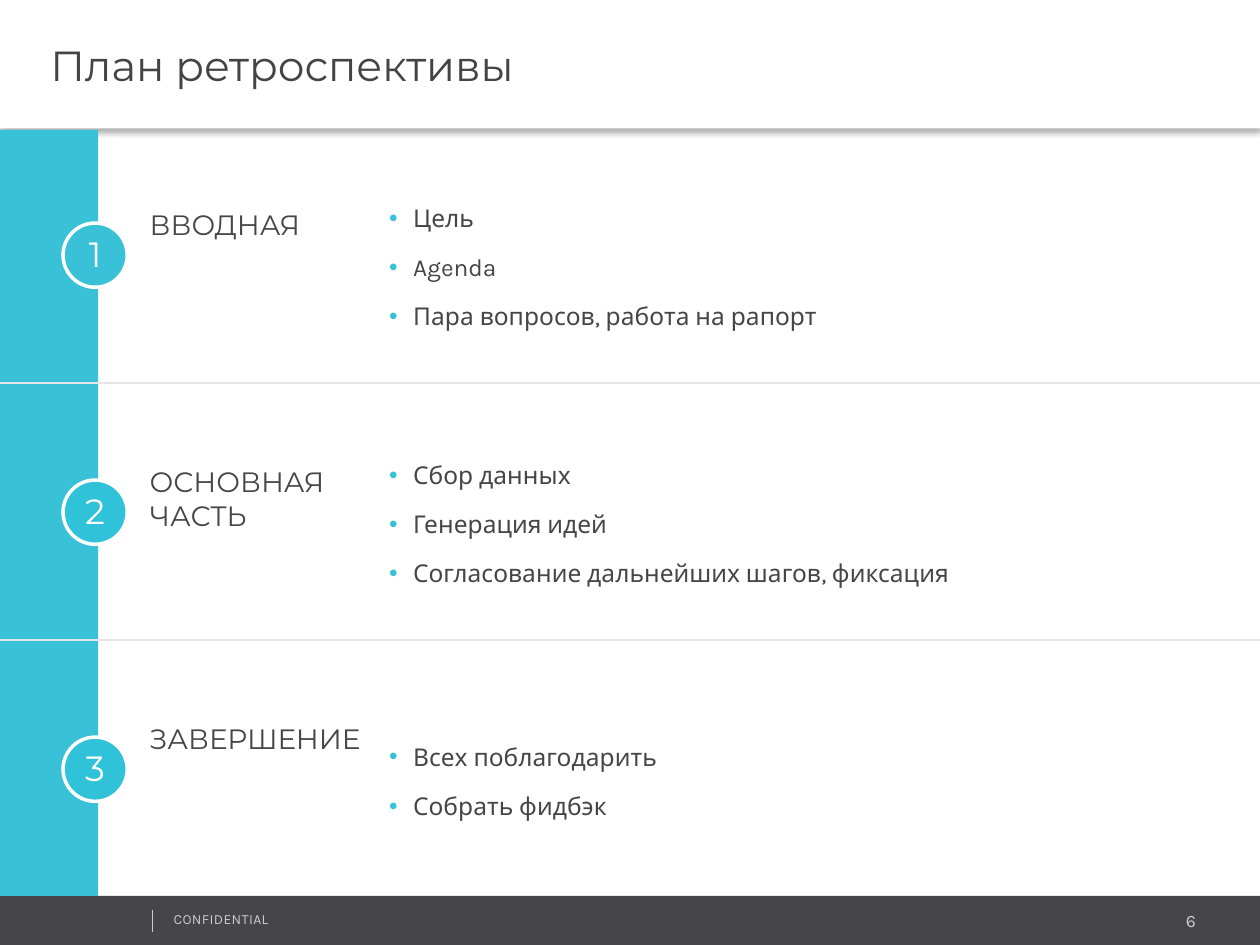
from dataclasses import dataclass

from lxml import etree
from pptx import Presentation
from pptx import util as u
from pptx.dml.color import RGBColor
from pptx.enum import shapes, text
from pptx.oxml import ns


@dataclass(frozen=True)
class Theme:
    accent: str = "39C2D7"
    bright: str = "2FC2D9"
    dark: str = "464547"
    title: str = "444444"
    muted: str = "CCCCCC"
    rule: str = "E6E6E6"
    white: str = "FFFFFF"
    head_font: str = "Montserrat"
    body_font: str = "Karla"
    title_size: int = 24
    number_size: int = 20
    head_size: int = 16
    body_size: int = 14
    page_size: int = 10
    note_size: int = 8


THEME = Theme()
SECTIONS = [
    ("ВВОДНАЯ", THEME.accent, ["Цель", "Agenda", "Пара вопросов, работа на рапорт"]),
    ("ОСНОВНАЯ ЧАСТЬ", THEME.bright,
     ["Сбор данных", "Генерация идей", "Согласование дальнейших шагов, фиксация"]),
    ("ЗАВЕРШЕНИЕ", THEME.bright, ["Всех поблагодарить", "Собрать фидбэк"]),
]


def add_child(parent, tag, **attributes):
    child = etree.SubElement(parent, ns.qn(tag))
    for name, value in attributes.items():
        child.set(name, str(value))
    return child


def add_bullet(para):
    properties = para._p.get_or_add_pPr()
    indent = u.Inches(0.19)
    properties.set("marL", str(indent))
    properties.set("indent", str(-indent))
    add_child(add_child(properties, "a:buClr"), "a:srgbClr", val=THEME.accent)
    add_child(properties, "a:buFont", typeface="Arial")
    add_child(properties, "a:buChar", char="•")
    para.line_spacing = 1.2
    para.space_after = u.Pt(8)


def write(shape, lines, size, color, font=THEME.body_font, align=text.PP_ALIGN.LEFT,
          anchor=text.MSO_ANCHOR.TOP, insets=(0.1, 0.05, 0.1, 0.05),
          bullets=False, tracking=None):
    frame = shape.text_frame
    frame.word_wrap = True
    frame.vertical_anchor = anchor
    (frame.margin_left, frame.margin_top,
     frame.margin_right, frame.margin_bottom) = map(u.Inches, insets)
    for index, line in enumerate(lines):
        para = frame.add_paragraph() if index else frame.paragraphs[0]
        para.alignment = align
        if bullets:
            add_bullet(para)
        span = para.add_run()
        span.text = line
        span.font.name = font
        span.font.size = u.Pt(size)
        span.font.color.rgb = RGBColor.from_string(color)
        if tracking:
            span._r.get_or_add_rPr().set("spc", str(tracking))


def add_text(page, box, lines, size, color, **style):
    write(page.shapes.add_textbox(*map(u.Inches, box)), lines, size, color, **style)


def add_block(page, box, fill, kind=shapes.MSO_SHAPE.RECTANGLE, outline=None):
    shape = page.shapes.add_shape(kind, *map(u.Inches, box))
    shape.shadow.inherit = False
    shape.fill.solid()
    shape.fill.fore_color.rgb = RGBColor.from_string(fill)
    if outline:
        shape.line.color.rgb = RGBColor.from_string(outline)
        shape.line.width = u.Pt(2)
    else:
        shape.line.fill.background()
    return shape


def add_line(page, start, end, color, width):
    line = page.shapes.add_connector(
        shapes.MSO_CONNECTOR.STRAIGHT, *map(u.Inches, (*start, *end)))
    line.line.color.rgb = RGBColor.from_string(color)
    line.line.width = u.Pt(width)
    add_child(line._element.spPr, "a:effectLst")


def add_header(page, box, title):
    header = add_block(page, box, THEME.white)
    effects = header._element.spPr.find(ns.qn("a:effectLst"))
    shadow = add_child(effects, "a:outerShdw", blurRad=u.Pt(3.1), dist=u.Pt(2),
                       dir=90 * 60000, algn="t", rotWithShape=0)
    shade = add_child(shadow, "a:srgbClr", val="000000")
    add_child(shade, "a:alpha", val=30000)
    write(header, [title], THEME.title_size, THEME.title, font=THEME.head_font,
          anchor=text.MSO_ANCHOR.MIDDLE, insets=(0.4, 0.05, 0.1, 0.05))


def add_footer(page, box, label, number):
    left, top, width, height = box
    add_block(page, box, THEME.dark)
    add_text(page, (left + width - 2.04, top + 0.06, 1.63, 0.27), [number],
             THEME.page_size, THEME.muted, align=text.PP_ALIGN.RIGHT)
    add_text(page, (left + 1.28, top + 0.07, 2.53, 0.24), [label],
             THEME.note_size, THEME.muted, tracking=20)
    add_line(page, (left + 1.21, top + 0.11), (left + 1.21, top + 0.29),
             THEME.muted, 0.25)


def add_section(page, box, number, heading, fill, items, divider):
    left, top, width, height = box
    add_text(page, (left + 2.99, top + 0.32, 6.45, 1.55), items, THEME.body_size,
             THEME.dark, anchor=text.MSO_ANCHOR.MIDDLE, bullets=True)
    add_text(page, (left + 1.09, top + 0.6, 2.13, 0.37), [heading],
             THEME.head_size, THEME.dark, font=THEME.head_font)
    badge = add_block(page, (left + 0.5, top + 0.77, 0.51, 0.51), fill,
                      kind=shapes.MSO_SHAPE.OVAL, outline=THEME.white)
    write(badge, [str(number)], THEME.number_size, THEME.white, font=THEME.head_font,
          align=text.PP_ALIGN.CENTER, anchor=text.MSO_ANCHOR.MIDDLE,
          insets=(0, 0.03, 0, 0.05))
    if divider:
        bottom = top + height
        add_line(page, (left + width, bottom), (left, bottom), THEME.rule, 1)


def add_plan(page, box):
    left, top, width, height = box
    add_block(page, (left, top + 0.03, 0.78, height - 0.03), THEME.accent)
    pitch = 2.04
    for index, (heading, fill, items) in enumerate(SECTIONS):
        add_section(page, (left, top + index * pitch, width, pitch), index + 1,
                    heading, fill, items, divider=index < len(SECTIONS) - 1)


def main():
    deck = Presentation()
    deck.slide_width, deck.slide_height = u.Inches(10), u.Inches(7.5)
    page = deck.slides.add_slide(deck.slide_layouts[6])
    add_footer(page, (0, 7.11, 10, 0.39), "CONFIDENTIAL", "6")
    add_header(page, (0, 0, 10, 1.02), "План ретроспективы")
    add_plan(page, (0, 1, 10, 6.11))
    deck.save("out.pptx")


if __name__ == "__main__":
    main()
